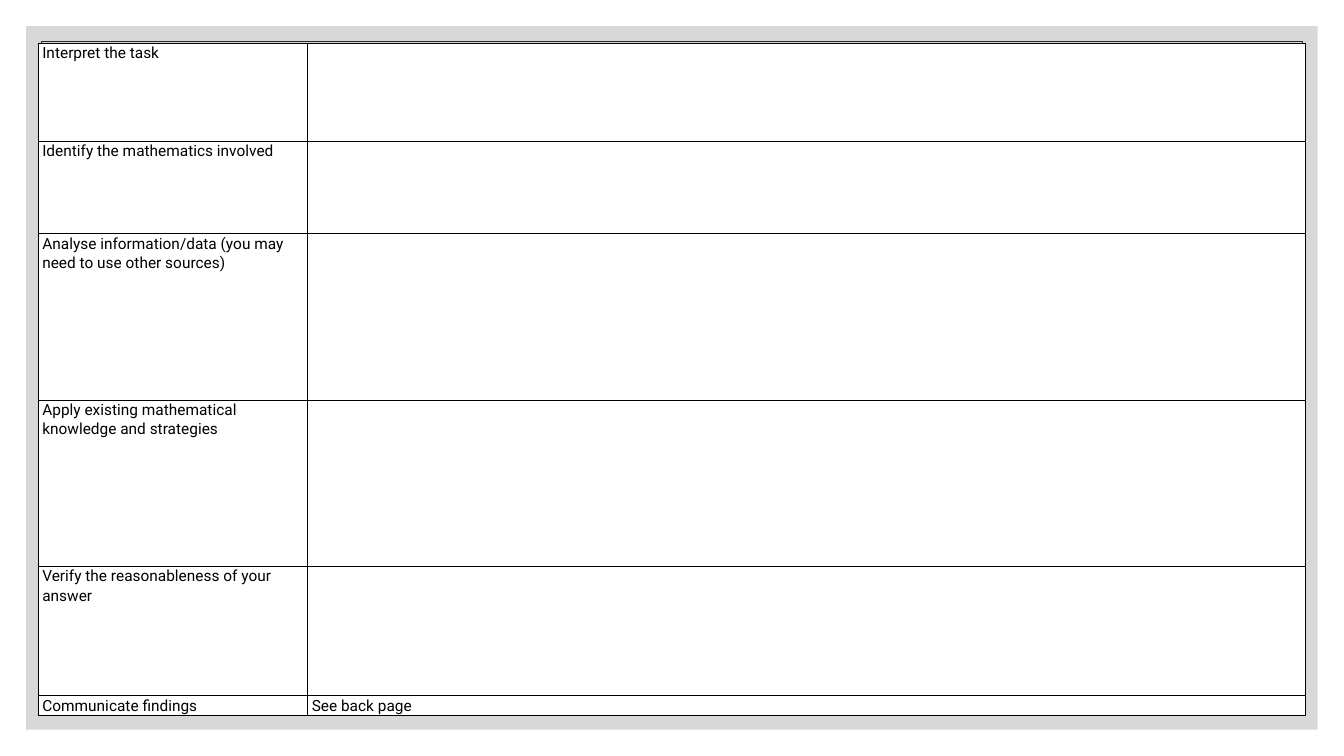
"""Build a worksheet slide with a problem-solving table on a grey panel."""
from dataclasses import dataclass

from lxml import etree
from pptx import Presentation
from pptx.dml.color import RGBColor
from pptx.enum.shapes import MSO_SHAPE
from pptx.oxml.ns import qn
from pptx.slide import Slide
from pptx.table import _Cell
from pptx.util import Emu, Inches, Pt

RECT = MSO_SHAPE.RECTANGLE
SLIDE_W, SLIDE_H = Inches(13.33), Inches(7.5)
BLANK_LAYOUT = 6


@dataclass(frozen=True)
class Theme:
    font: str = "Roboto"
    text_size: float = 11
    line_spacing: float = 1.07
    text: str = "000000"
    paper: str = "FFFFFF"
    panel: str = "BFBFBF"
    panel_opacity: int = 60
    frame: str = "262626"
    frame_width: float = 0.5
    border: str = "000000"
    border_width: float = 1
    cell_inset: float = 0.04


@dataclass(frozen=True)
class Panel:
    margin_x: float
    margin_y: float
    fill: str = ""
    line: str = ""


@dataclass(frozen=True)
class Step:
    height: float
    label: str
    answer: str = ""


THEME = Theme()
PANELS = [
    Panel(1.95, 3.47, fill=THEME.panel),
    Panel(3.08, 5.47, line=THEME.frame),
]
TABLE_LEFT, TABLE_TOP = 2.85, 5.73
COLUMNS = [20.05, 74.25]
STEPS = [
    Step(12.95, "Interpret the task"),
    Step(12.25, "Identify the mathematics involved"),
    Step(22, "Analyse information/data (you may need to use other sources)"),
    Step(22, "Apply existing mathematical knowledge and strategies"),
    Step(17.1, "Verify the reasonableness of your answer"),
    Step(2.6, "Communicate findings", "See back page"),
]


def across(percent: float) -> Emu:
    """Turn a percentage of the slide width into a length."""
    return Emu(round(SLIDE_W * percent / 100))


def down(percent: float) -> Emu:
    """Turn a percentage of the slide height into a length."""
    return Emu(round(SLIDE_H * percent / 100))


def add_panel(slide: Slide, panel: Panel) -> None:
    """Draw a centred rectangle, either tinted or outlined."""
    sp = slide.shapes.add_shape(
        RECT, across(panel.margin_x), down(panel.margin_y),
        across(100 - 2 * panel.margin_x), down(100 - 2 * panel.margin_y))
    sp.shadow.inherit = False
    if panel.fill:
        sp.fill.solid()
        sp.fill.fore_color.rgb = RGBColor.from_string(panel.fill)
        color = sp.fill._xPr.find(qn("a:solidFill"))[0]
        etree.SubElement(color, qn("a:alpha"), val=str(THEME.panel_opacity * 1000))
    else:
        sp.fill.background()
    if panel.line:
        sp.line.color.rgb = RGBColor.from_string(panel.line)
        sp.line.width = Pt(THEME.frame_width)
    else:
        sp.line.fill.background()


def set_borders(cell: _Cell) -> None:
    """Give a cell the same line on all four sides."""
    props = cell._tc.get_or_add_tcPr()
    for side in ("lnL", "lnR", "lnT", "lnB"):
        line = etree.SubElement(props, qn(f"a:{side}"), w=str(Pt(THEME.border_width)))
        fill = etree.SubElement(line, qn("a:solidFill"))
        etree.SubElement(fill, qn("a:srgbClr"), val=THEME.border)


def fill_cell(cell: _Cell, text: str) -> None:
    """Style a cell and write its text."""
    set_borders(cell)
    cell.fill.solid()
    cell.fill.fore_color.rgb = RGBColor.from_string(THEME.paper)
    cell.margin_left = cell.margin_right = Inches(THEME.cell_inset)
    cell.margin_top = cell.margin_bottom = 0
    p = cell.text_frame.paragraphs[0]
    p.text = text
    p.line_spacing = THEME.line_spacing
    p.font.size = Pt(THEME.text_size)
    for r in p.runs:
        r.font.name = THEME.font
        r.font.size = Pt(THEME.text_size)
        r.font.color.rgb = RGBColor.from_string(THEME.text)


def add_steps_table(slide: Slide, steps: list[Step]) -> None:
    """Add the table with one row for each step."""
    table = slide.shapes.add_table(
        len(steps), len(COLUMNS), across(TABLE_LEFT), down(TABLE_TOP),
        across(sum(COLUMNS)), down(sum(step.height for step in steps))).table
    table.first_row = table.horz_banding = False
    for column, width in zip(table.columns, COLUMNS):
        column.width = across(width)
    for row, step in zip(table.rows, steps):
        row.height = down(step.height)
        for cell, text in zip(row.cells, (step.label, step.answer)):
            fill_cell(cell, text)


def main() -> None:
    """Build and save the slide."""
    prs = Presentation()
    prs.slide_width, prs.slide_height = SLIDE_W, SLIDE_H
    slide = prs.slides.add_slide(prs.slide_layouts[BLANK_LAYOUT])
    for panel in PANELS:
        add_panel(slide, panel)
    add_steps_table(slide, STEPS)
    prs.save("out.pptx")


if __name__ == "__main__":
    main()
